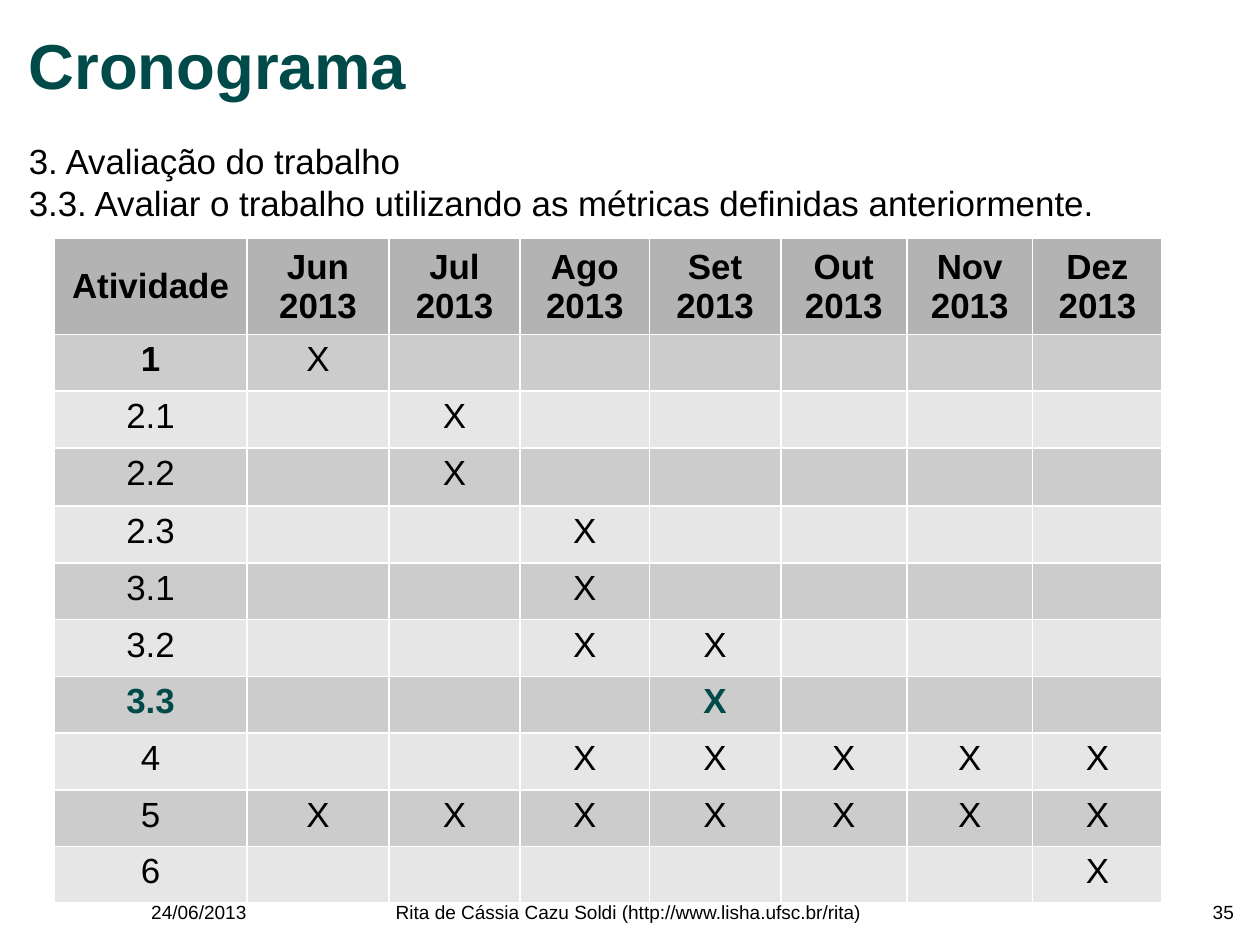
import pptx
import pptx.dml.color
import pptx.enum.text
import pptx.oxml
import pptx.oxml.ns
import pptx.util

Cm = pptx.util.Cm
Pt = pptx.util.Pt
RGBColor = pptx.dml.color.RGBColor
Align = pptx.enum.text.PP_ALIGN
Anchor = pptx.enum.text.MSO_ANCHOR

BLACK = RGBColor(0x00, 0x00, 0x00)
TEAL = RGBColor(0x00, 0x4A, 0x4A)
HEADER_GRAY = RGBColor(0xB3, 0xB3, 0xB3)
DARK_BAND = RGBColor(0xCC, 0xCC, 0xCC)
LIGHT_BAND = RGBColor(0xE6, 0xE6, 0xE6)
WHITE = RGBColor(0xFF, 0xFF, 0xFF)

MONTHS = ["Jun", "Jul", "Ago", "Set", "Out", "Nov", "Dez"]
SCHEDULE = {
    "1": ["Jun"],
    "2.1": ["Jul"],
    "2.2": ["Jul"],
    "2.3": ["Ago"],
    "3.1": ["Ago"],
    "3.2": ["Ago", "Set"],
    "3.3": ["Set"],
    "4": MONTHS[2:],
    "5": MONTHS,
    "6": ["Dez"],
}
CURRENT_ACTIVITY = "3.3"
COLUMN_WIDTHS = [4.29, 3.15, 2.92, 2.87, 2.92, 2.8, 2.8, 2.88]
ROW_HEIGHTS = [2.13 if row == 0 else 1.3 if row == 3 else 1.26
               for row in range(len(SCHEDULE) + 1)]


def write(frame, text, size=22, color=BLACK, bold=False, align=Align.LEFT, spacing=None):
    """Write each line of the text as a formatted paragraph."""
    for index, line in enumerate(text.split("\n")):
        para = frame.paragraphs[0] if index == 0 else frame.add_paragraph()
        para.alignment = align
        para.line_spacing = spacing
        span = para.add_run()
        span.text = line
        span.font.name = "Arial"
        span.font.size = Pt(size)
        span.font.bold = bold
        span.font.color.rgb = color


class SchedulePage:
    """Hold the current slide and draw its text boxes and schedule table."""

    def __init__(self, page):
        self.page = page
        self.border_color = WHITE
        self.border_width = Pt(1.19)

    def text(self, text, left, top, width, height, anchor=Anchor.TOP, **style):
        """Add a text box without margins."""
        box = self.page.shapes.add_textbox(Cm(left), Cm(top), Cm(width), Cm(height))
        frame = box.text_frame
        frame.word_wrap = True
        frame.vertical_anchor = anchor
        frame.margin_left = frame.margin_right = 0
        frame.margin_top = frame.margin_bottom = 0
        write(frame, text, **style)

    def borders(self, cell):
        """Draw a line on each side of a table cell."""
        properties = cell._tc.get_or_add_tcPr()
        namespace = pptx.oxml.ns.nsdecls("a")
        for side in ("L", "R", "T", "B"):
            properties.append(pptx.oxml.parse_xml(
                f'<a:ln{side} {namespace} w="{self.border_width}"><a:solidFill>'
                f'<a:srgbClr val="{self.border_color}"/></a:solidFill></a:ln{side}>'))

    def cell(self, cell, text, fill, anchor=Anchor.TOP, **style):
        """Fill, outline and write one table cell."""
        self.borders(cell)
        cell.fill.solid()
        cell.fill.fore_color.rgb = fill
        cell.vertical_anchor = anchor
        cell.margin_left = cell.margin_right = Cm(0.1)
        cell.margin_top = cell.margin_bottom = Cm(0.13)
        if text:
            write(cell.text_frame, text, align=Align.CENTER, **style)

    def schedule(self, left, top):
        """Add the table of activities by month."""
        table = self.page.shapes.add_table(
            len(ROW_HEIGHTS), len(COLUMN_WIDTHS), Cm(left), Cm(top),
            Cm(sum(COLUMN_WIDTHS)), Cm(sum(ROW_HEIGHTS))).table
        table.first_row = table.horz_banding = False
        for column, width in zip(table.columns, COLUMN_WIDTHS):
            column.width = Cm(width)
        for row, height in zip(table.rows, ROW_HEIGHTS):
            row.height = Cm(height)

        headings = ["Atividade"] + [f"{month}\n2013" for month in MONTHS]
        for column, heading in enumerate(headings):
            self.cell(table.cell(0, column), heading, HEADER_GRAY,
                      anchor=Anchor.MIDDLE, bold=True)
        for row, (activity, active) in enumerate(SCHEDULE.items(), 1):
            fill = DARK_BAND if row % 2 else LIGHT_BAND
            current = activity == CURRENT_ACTIVITY
            marks = ["X" if month in active else "" for month in MONTHS]
            for column, text in enumerate([activity] + marks):
                self.cell(table.cell(row, column), text, fill,
                          color=TEAL if current else BLACK,
                          bold=current or text == "1")


def main():
    """Build and save the schedule slide."""
    deck = pptx.Presentation()
    deck.slide_width = Cm(28)
    deck.slide_height = Cm(21)
    page = SchedulePage(deck.slides.add_slide(deck.slide_layouts[6]))

    page.text("Cronograma", 0.64, 0.64, 23.5, 1.9, anchor=Anchor.MIDDLE,
              size=40, color=TEAL, bold=True, spacing=0.8)
    page.text("3. Avaliação do trabalho\n"
              "3.3. Avaliar o trabalho utilizando as métricas definidas anteriormente.",
              0.64, 3.1, 26.67, 1.93)
    page.schedule(1.2, 5.3)

    footers = [
        ("24/06/2013", 0.71, 7.42, Align.CENTER),
        ("35", 20, 7.42, Align.RIGHT),
        ("Rita de Cássia Cazu Soldi (http://www.lisha.ufsc.br/rita)", 6.35, 15.24,
         Align.CENTER),
    ]
    for text, left, width, align in footers:
        page.text(text, left, 20.02, width, 0.53, size=12, align=align)
    deck.save("out.pptx")


if __name__ == "__main__":
    main()
